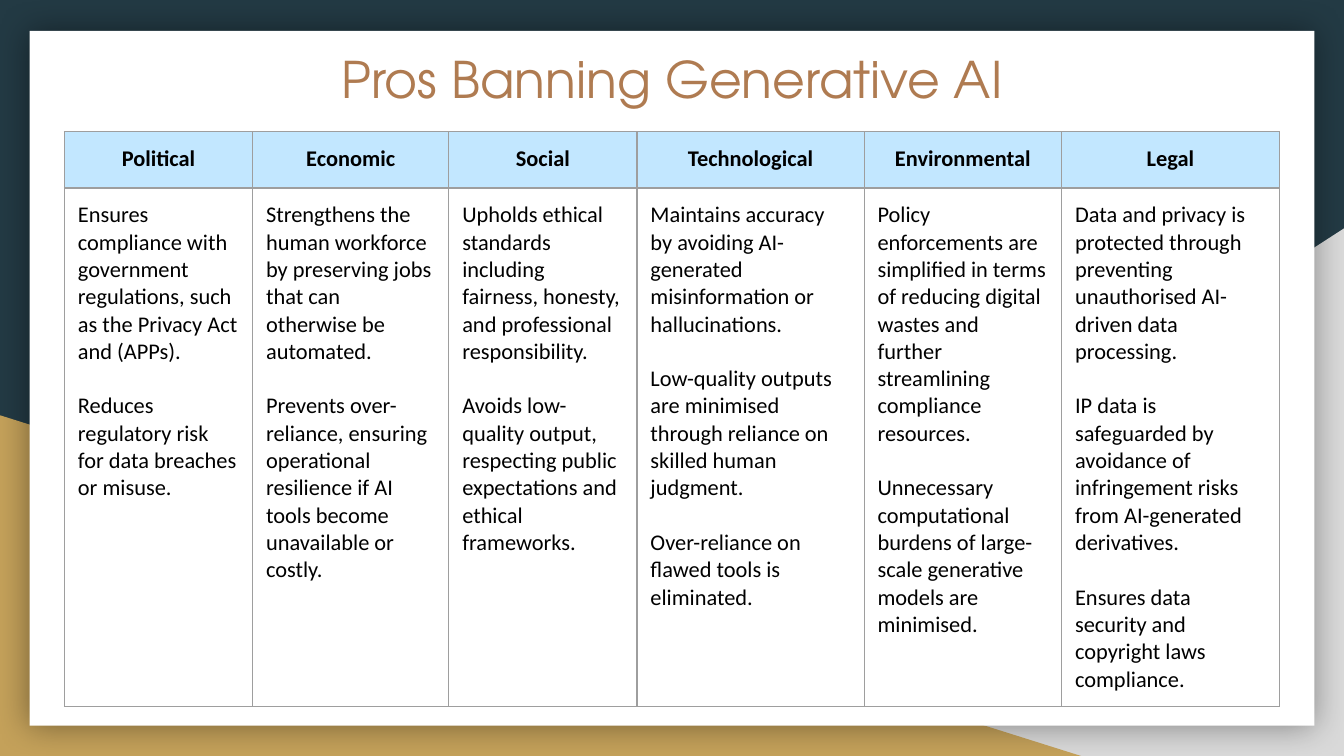
from dataclasses import dataclass

from lxml import etree
from pptx import Presentation
from pptx import util as u
from pptx.dml.color import RGBColor
from pptx.enum import shapes, text
from pptx.oxml import ns

NAVY = RGBColor(0x23, 0x3A, 0x44)
GREY = RGBColor(0xD9, 0xD9, 0xD9)
GOLD = RGBColor(0xC4, 0xA1, 0x5A)
WHITE = RGBColor(0xFF, 0xFF, 0xFF)
BROWN = RGBColor(0xAF, 0x7B, 0x51)
BLACK = RGBColor(0, 0, 0)
SKY = RGBColor(0xC2, 0xE7, 0xFF)
BORDER = RGBColor(0x9E, 0x9E, 0x9E)

PAGE_WIDTH = 10
PAGE_HEIGHT = PAGE_WIDTH * 9 / 16
MARGIN = u.Inches(0.1)
HEADER_HEIGHT = 0.42
BODY_HEIGHT = 3.85
LINE_GAP = 14.65


@dataclass(frozen=True)
class Panel:
    kind: shapes.MSO_SHAPE
    left: float
    top: float
    width: float
    height: float
    color: RGBColor
    flipped: bool = False
    shadowed: bool = False


@dataclass(frozen=True)
class Factor:
    name: str
    width: float
    points: tuple[str, ...]


PANELS = (
    Panel(shapes.MSO_SHAPE.RIGHT_TRIANGLE, 3.92, 1.7, 6.08, 3.93, GREY, flipped=True),
    Panel(shapes.MSO_SHAPE.RIGHT_TRIANGLE, 0, 3.09, 8.06, 2.54, GOLD),
    Panel(shapes.MSO_SHAPE.RECTANGLE, 0.22, 0.23, 9.56, 5.17, WHITE, shadowed=True),
)

FACTORS = (
    Factor("Political", 1.4, (
        "Ensures compliance with government regulations, such as the Privacy Act and (APPs).",
        "Reduces regulatory risk for data breaches or misuse.",
    )),
    Factor("Economic", 1.46, (
        "Strengthens the human workforce by preserving jobs that can otherwise be automated.",
        "Prevents over-reliance, ensuring operational resilience if AI tools become "
        "unavailable or costly.",
    )),
    Factor("Social", 1.4, (
        "Upholds ethical standards including fairness, honesty, and professional responsibility.",
        "Avoids low-quality output, respecting public expectations and ethical frameworks.",
    )),
    Factor("Technological", 1.69, (
        "Maintains accuracy by avoiding AI-generated misinformation or hallucinations.",
        "Low-quality outputs are minimised through reliance on skilled human judgment.",
        "Over-reliance on flawed tools is eliminated.",
    )),
    Factor("Environmental", 1.47, (
        "Policy enforcements are simplified in terms of reducing digital wastes and further "
        "streamlining compliance resources.",
        "Unnecessary computational burdens of large-scale generative models are minimised.",
    )),
    Factor("Legal", 1.62, (
        "Data and privacy is protected through preventing unauthorised AI-driven data processing.",
        "IP data is safeguarded by avoidance of infringement risks from AI-generated derivatives.",
        "Ensures data security and copyright laws compliance.",
    )),
)


def add_child(parent, tag: str, **attributes: str):
    return etree.SubElement(parent, ns.qn(tag), attributes)


def write(frame, *lines: str, size: float, font: str, color: RGBColor,
          bold: bool = False, align=text.PP_ALIGN.LEFT, gap: float = 0) -> None:
    for index, line in enumerate(lines):
        para = frame.add_paragraph() if index else frame.paragraphs[0]
        para.alignment = align
        para.space_before = u.Pt(gap if index else 0)
        span = para.add_run()
        span.text = line
        span.font.size = u.Pt(size)
        span.font.name = font
        span.font.bold = bold
        span.font.color.rgb = color


def draw_panel(page, panel: Panel) -> None:
    shape = page.shapes.add_shape(panel.kind, u.Inches(panel.left), u.Inches(panel.top),
                                  u.Inches(panel.width), u.Inches(panel.height))
    shape.shadow.inherit = False
    shape.fill.solid()
    shape.fill.fore_color.rgb = panel.color
    shape.line.fill.background()
    properties = shape._element.spPr
    if panel.flipped:
        properties.find(ns.qn("a:xfrm")).set("flipH", "1")
    if panel.shadowed:
        shadow = add_child(properties.find(ns.qn("a:effectLst")), "a:outerShdw",
                           blurRad=str(u.Pt(18)), dist="0", dir="0",
                           algn="ctr", rotWithShape="0")
        tint = add_child(shadow, "a:srgbClr", val=str(BLACK))
        add_child(tint, "a:alpha", val="40000")


def draw_title(page, wording: str) -> None:
    box = page.shapes.title
    page.shapes._spTree.append(box._element)
    box.left, box.top = u.Inches(2.2), u.Inches(0.28)
    box.width, box.height = u.Inches(5.6), u.Inches(0.61)
    frame = box.text_frame
    frame.word_wrap = True
    frame.auto_size = text.MSO_AUTO_SIZE.NONE
    frame.vertical_anchor = text.MSO_ANCHOR.MIDDLE
    frame.margin_left = frame.margin_right = MARGIN
    frame.margin_top = frame.margin_bottom = MARGIN
    write(frame, wording, size=27, font="TeX Gyre Adventor", color=BROWN,
          align=text.PP_ALIGN.CENTER)


def format_cell(cell) -> None:
    cell.margin_left = cell.margin_right = MARGIN
    cell.margin_top = cell.margin_bottom = MARGIN
    cell.vertical_anchor = text.MSO_ANCHOR.TOP
    properties = cell._tc.get_or_add_tcPr()
    for side in ("a:lnL", "a:lnR", "a:lnT", "a:lnB"):
        line = add_child(properties, side, w=str(u.Pt(0.75)))
        add_child(add_child(line, "a:solidFill"), "a:srgbClr", val=str(BORDER))


def draw_table(page, factors: tuple[Factor, ...]) -> None:
    width = sum(factor.width for factor in factors)
    table = page.shapes.add_table(2, len(factors), u.Inches(0.48), u.Inches(0.98),
                                  u.Inches(width),
                                  u.Inches(HEADER_HEIGHT + BODY_HEIGHT)).table
    table.first_row = table.horz_banding = False
    table.rows[0].height = u.Inches(HEADER_HEIGHT)
    table.rows[1].height = u.Inches(BODY_HEIGHT)
    for index, factor in enumerate(factors):
        table.columns[index].width = u.Inches(factor.width)
        header, body = table.cell(0, index), table.cell(1, index)
        format_cell(header)
        format_cell(body)
        header.fill.solid()
        header.fill.fore_color.rgb = SKY
        body.fill.background()
        write(header.text_frame, factor.name, size=12, font="Calibri", color=BLACK,
              bold=True, align=text.PP_ALIGN.CENTER)
        write(body.text_frame, *factor.points, size=12, font="Calibri", color=BLACK,
              gap=LINE_GAP)


def main() -> None:
    deck = Presentation()
    deck.slide_width, deck.slide_height = u.Inches(PAGE_WIDTH), u.Inches(PAGE_HEIGHT)
    page = deck.slides.add_slide(deck.slide_layouts[5])
    page.background.fill.solid()
    page.background.fill.fore_color.rgb = NAVY
    for panel in PANELS:
        draw_panel(page, panel)
    draw_title(page, "Pros Banning Generative AI")
    draw_table(page, FACTORS)
    deck.save("out.pptx")


if __name__ == "__main__":
    main()
